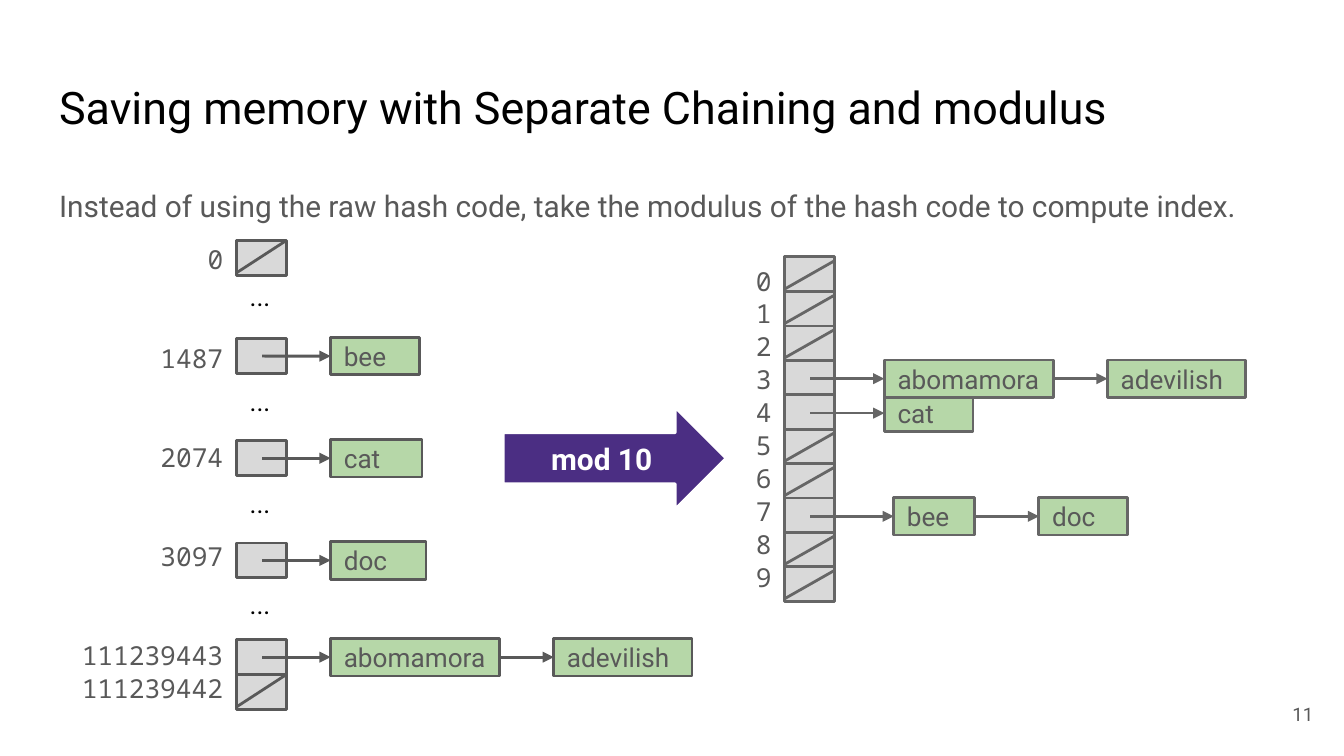
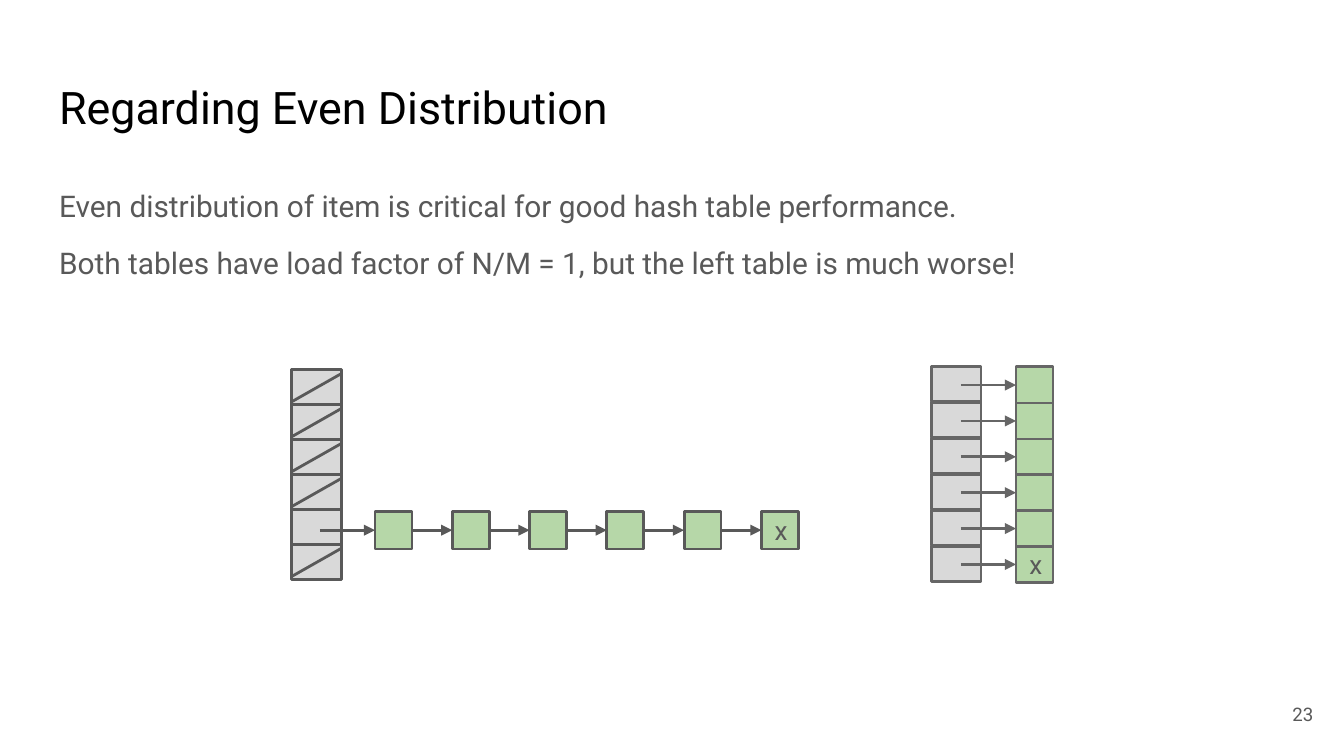
"""Build two slides on hash tables with separate chaining."""
from dataclasses import dataclass
from typing import Optional, Sequence

from lxml.etree import SubElement
from pptx import Presentation
from pptx.dml.color import RGBColor
from pptx.enum.shapes import MSO_CONNECTOR, MSO_SHAPE
from pptx.enum.text import MSO_ANCHOR, MSO_AUTO_SIZE, PP_ALIGN
from pptx.oxml.ns import qn
from pptx.shapes.autoshape import Shape
from pptx.shapes.connector import Connector
from pptx.slide import Slide
from pptx.text.text import TextFrame
from pptx.util import Inches, Length, Pt

BLACK = RGBColor(0x00, 0x00, 0x00)
WHITE = RGBColor(0xFF, 0xFF, 0xFF)
GRAY = RGBColor(0x59, 0x59, 0x59)
MID_GRAY = RGBColor(0x66, 0x66, 0x66)
BUCKET_FILL = RGBColor(0xD9, 0xD9, 0xD9)
NODE_FILL = RGBColor(0xB6, 0xD7, 0xA8)
PURPLE = RGBColor(0x4B, 0x2E, 0x83)
SANS, MONO = "Roboto", "Noto Sans Mono"

COLUMNS, ROWS = 100, 56.25
BUCKET_WIDTH, BUCKET_HEIGHT = 3.7, 2.6
SLASH_BOTTOM = 2.4
MONO_LINE = 17.68


@dataclass(frozen=True)
class Area:
    left: float
    top: float
    width: float
    height: float


@dataclass(frozen=True)
class TextStyle:
    size: float
    color: RGBColor = GRAY
    font: str = SANS
    bold: bool = False
    align: PP_ALIGN = PP_ALIGN.LEFT
    anchor: MSO_ANCHOR = MSO_ANCHOR.TOP
    spacing: float = 1.0


@dataclass(frozen=True)
class Node:
    left: float
    width: float
    word: str = ""


@dataclass(frozen=True)
class Bucket:
    top: float
    chain: Sequence[Node] = ()


@dataclass(frozen=True)
class HashTable:
    left: float
    buckets: Sequence[Bucket]
    stroke: RGBColor = GRAY
    pointer_start: float = 1.9
    slash_top: float = 0.3
    node_drop: float = 0
    node_height: float = 2.8


TITLE_AREA = Area(3.4, 4.9, 93.2, 6.3)
NUMBER_AREA = Area(92.7, 51, 6, 4.3)
TITLE = TextStyle(24, BLACK)
BODY = TextStyle(16, spacing=1.15)
NUMBER = TextStyle(10, align=PP_ALIGN.RIGHT, anchor=MSO_ANCHOR.MIDDLE)
INDEX = TextStyle(14, font=MONO, align=PP_ALIGN.RIGHT, spacing=1.05)
ELLIPSIS = TextStyle(14, BLACK)
WORD = TextStyle(14, anchor=MSO_ANCHOR.MIDDLE)
OPERATION = TextStyle(16, WHITE, bold=True, align=PP_ALIGN.CENTER, anchor=MSO_ANCHOR.MIDDLE)


def grid(units: float) -> Length:
    """Convert grid columns or rows to a length; both are a tenth of an inch."""
    return Inches(units * 10 / COLUMNS)


def place(area: Area) -> tuple[Length, Length, Length, Length]:
    """Return the four lengths of an area."""
    return grid(area.left), grid(area.top), grid(area.width), grid(area.height)


def write(frame: TextFrame, lines: Sequence[str], style: TextStyle) -> None:
    """Write lines into a frame and format them."""
    frame.text = "\n".join(lines)
    frame.word_wrap = True
    frame.auto_size = MSO_AUTO_SIZE.NONE
    frame.vertical_anchor = style.anchor
    frame.margin_left = frame.margin_right = grid(1)
    frame.margin_top = frame.margin_bottom = grid(1)
    for paragraph in frame.paragraphs:
        paragraph.alignment = style.align
        paragraph.line_spacing = style.spacing
        paragraph.space_before = paragraph.space_after = Pt(0)
        for run in paragraph.runs:
            run.font.size = Pt(style.size)
            run.font.name = style.font
            run.font.bold = style.bold
            run.font.color.rgb = style.color


def add_label(slide: Slide, area: Area, lines: Sequence[str], style: TextStyle) -> TextFrame:
    """Add a text box and return its frame."""
    frame = slide.shapes.add_textbox(*place(area)).text_frame
    write(frame, lines, style)
    return frame


def add_block(slide: Slide, area: Area, fill: RGBColor, stroke: RGBColor,
              preset: MSO_SHAPE = MSO_SHAPE.RECTANGLE, weight: float = 1.5) -> Shape:
    """Add a flat filled shape."""
    block = slide.shapes.add_shape(preset, *place(area))
    block.shadow.inherit = False
    block.fill.solid()
    block.fill.fore_color.rgb = fill
    block.line.color.rgb = stroke
    block.line.width = Pt(weight)
    return block


def add_line(slide: Slide, start: tuple[float, float], end: tuple[float, float],
             stroke: RGBColor, arrow: bool = False) -> Connector:
    """Add a straight line, with an arrowhead at its end if asked."""
    line = slide.shapes.add_connector(
        MSO_CONNECTOR.STRAIGHT, *map(grid, start), *map(grid, end))
    line.line.color.rgb = stroke
    line.line.width = Pt(1.5)
    properties = line.element.spPr
    if arrow:
        SubElement(properties.find(qn("a:ln")), qn("a:tailEnd"), type="triangle")
    SubElement(properties, qn("a:effectLst"))
    return line


def add_chain(slide: Slide, table: HashTable, bucket: Bucket) -> None:
    """Draw the linked nodes of one bucket."""
    node_top = bucket.top + table.node_drop
    middle = node_top + table.node_height / 2
    pointer_left = table.left + table.pointer_start
    previous: Optional[Shape] = None
    for node in bucket.chain:
        block = add_block(slide, Area(node.left, node_top, node.width, table.node_height),
                          NODE_FILL, table.stroke)
        if node.word:
            write(block.text_frame, [node.word], WORD)
        pointer = add_line(slide, (pointer_left, middle), (node.left, middle),
                           table.stroke, arrow=True)
        if previous is not None:
            pointer.begin_connect(previous, 3)
        pointer.end_connect(block, 1)
        previous = block
        pointer_left = node.left + node.width


def add_hash_table(slide: Slide, table: HashTable) -> None:
    """Draw buckets with their chains, and a slash in each empty one."""
    for bucket in reversed(table.buckets):
        add_block(slide, Area(table.left, bucket.top, BUCKET_WIDTH, BUCKET_HEIGHT),
                  BUCKET_FILL, table.stroke)
        if bucket.chain:
            add_chain(slide, table, bucket)
        else:
            add_line(slide, (table.left, bucket.top + SLASH_BOTTOM),
                     (table.left + BUCKET_WIDTH, bucket.top + table.slash_top), table.stroke)


def stack(top: float, pitch: float, chains: Sequence[Sequence[Node]]) -> list[Bucket]:
    """Stack buckets at an equal pitch."""
    return [Bucket(top + pitch * index, chain) for index, chain in enumerate(chains)]


def add_slide(deck: Presentation, title: str, body: Sequence[str],
              body_height: float, number: int) -> Slide:
    """Add a slide with its title, body text and number."""
    slide = deck.slides.add_slide(deck.slide_layouts[1])
    heading, content = slide.placeholders
    body_area = Area(TITLE_AREA.left, 12.6, TITLE_AREA.width, body_height)
    for holder, area in ((heading, TITLE_AREA), (content, body_area)):
        holder.left, holder.top, holder.width, holder.height = place(area)
    write(heading.text_frame, [title], TITLE)
    write(content.text_frame, body, BODY)
    for index, paragraph in enumerate(content.text_frame.paragraphs):
        properties = paragraph._p.get_or_add_pPr()
        properties.set("marL", "0")
        properties.set("indent", "0")
        SubElement(properties, qn("a:buNone"))
        paragraph.space_before = Pt(8 if index else 0)
    content.text_frame.paragraphs[-1].space_after = Pt(8)
    add_label(slide, NUMBER_AREA, [str(number)], NUMBER)
    return slide


def build_modulus_slide(deck: Presentation) -> None:
    """Show raw hash codes turned into indices by modulus."""
    slide = add_slide(
        deck, "Saving memory with Separate Chaining and modulus",
        ["Instead of using the raw hash code, take the modulus of the hash code to compute index."],
        4.5, 11)
    raw_codes = HashTable(17.6, [
        Bucket(17.9),
        Bucket(25.2, [Node(24.6, 6.6, "bee")]),
        Bucket(32.8, [Node(24.6, 6.8, "cat")]),
        Bucket(40.4, [Node(24.6, 7.1, "doc")]),
        Bucket(47.6, [Node(24.6, 12.6, "abomamora"), Node(41.2, 10.3, "adevilish")]),
        Bucket(50.2),
    ], slash_top=0, node_drop=-0.1)
    chains = {
        3: [Node(65.8, 12.6, "abomamora"), Node(82.4, 10.3, "adevilish")],
        4: [Node(65.8, 6.6, "cat")],
        7: [Node(66.5, 6, "bee"), Node(77.3, 6.6, "doc")],
    }
    indices = range(10)
    reduced = HashTable(58.4, stack(19.1, 2.56, [chains.get(index, ()) for index in indices]),
                        MID_GRAY)
    for table in (raw_codes, reduced):
        add_hash_table(slide, table)

    codes = add_label(slide, Area(4.4, 17, 13.2, 35.8),
                      ["0", "1487", "2074", "3097", "111239443", "111239442"], INDEX)
    for paragraph in codes.paragraphs[1:-1]:
        paragraph.space_before = Pt(2 * MONO_LINE)
    add_label(slide, Area(54.4, 18.6, 4, 27.5), [str(index) for index in indices], INDEX)
    for top in (19.9, 27.7, 35.3, 42.8):
        add_label(slide, Area(raw_codes.left, top, BUCKET_WIDTH, BUCKET_HEIGHT), ["..."], ELLIPSIS)

    modulus = add_block(slide, Area(37.4, 30.2, 16.7, 7.8), PURPLE, WHITE,
                        MSO_SHAPE.RIGHT_ARROW, 2.25)
    write(modulus.text_frame, ["mod 10"], OPERATION)


def build_distribution_slide(deck: Presentation) -> None:
    """Compare one long chain with evenly spread nodes."""
    slide = add_slide(
        deck, "Regarding Even Distribution",
        ["Even distribution of item is critical for good hash table performance.",
         "Both tables have load factor of N/M = 1, but the left table is much worse!"], 9, 23)
    words = [""] * 5 + ["x"]
    long_chain = [Node(27.9 + 5.75 * index, 2.75, word) for index, word in enumerate(words)]
    uneven = HashTable(21.7, stack(27.5, 2.6, [(), (), (), (), long_chain, ()]),
                       pointer_start=2.1, node_drop=0.15)
    even = HashTable(69.3, stack(27.3, 2.67, [[Node(75.6, 2.75, word)] for word in words]),
                     MID_GRAY, pointer_start=2.2, node_height=2.7)
    for table in (uneven, even):
        add_hash_table(slide, table)


def main() -> None:
    """Build and save the deck."""
    deck = Presentation()
    deck.slide_width, deck.slide_height = grid(COLUMNS), grid(ROWS)
    build_modulus_slide(deck)
    build_distribution_slide(deck)
    deck.save("out.pptx")


if __name__ == "__main__":
    main()
